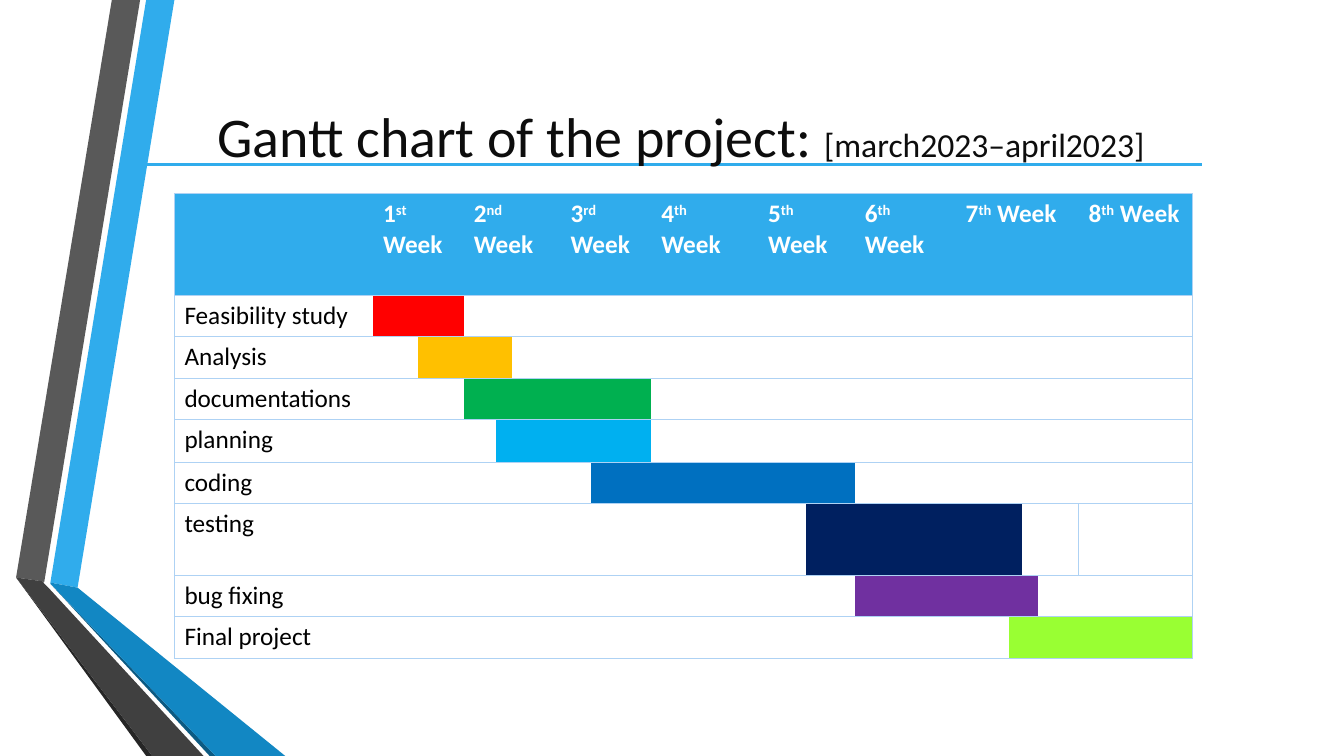
"""Build a project Gantt chart slide with a folded ribbon at the left."""
import pptx
import pptx.dml.color
import pptx.enum.shapes
import pptx.enum.text
import pptx.oxml
import pptx.oxml.ns
import pptx.util
from pptx.dml.color import RGBColor
from pptx.util import Inches

SKY = RGBColor(0x30, 0xAC, 0xEC)
GREY = RGBColor(0x59, 0x59, 0x59)
BLACKISH = RGBColor(0x26, 0x26, 0x26)
NAVY = RGBColor(0x0C, 0x5A, 0x82)
BLUE = RGBColor(0x12, 0x87, 0xC3)
CHARCOAL = RGBColor(0x40, 0x40, 0x40)
GRID = RGBColor(0xAE, 0xD2, 0xF4)
INK = RGBColor(0x0D, 0x0D, 0x0D)
BLACK = RGBColor(0, 0, 0)
WHITE = RGBColor(0xFF, 0xFF, 0xFF)
RED = RGBColor(0xFF, 0, 0)
AMBER = RGBColor(0xFF, 0xC0, 0)
GREEN = RGBColor(0, 0xB0, 0x50)
CYAN = RGBColor(0, 0xB0, 0xF0)
COBALT = RGBColor(0, 0x70, 0xC0)
MIDNIGHT = RGBColor(0, 0x20, 0x60)
PURPLE = RGBColor(0x70, 0x30, 0xA0)
LIME = RGBColor(0x99, 0xFF, 0x33)

RIBBONS = [
    (SKY, [(0.5, 5.78), (0.77, 5.83), (1.73, 0), (1.45, 0)]),
    (GREY, [(1.39, 0), (1.11, 0), (0.16, 5.73), (0.44, 5.77)]),
    (BLACKISH, [(0.16, 5.73), (1.45, 7.5), (1.51, 7.5)]),
    (NAVY, [(0.5, 5.79), (2.08, 7.5), (2.14, 7.5)]),
    (BLUE, [(0.5, 5.79), (2.14, 7.5), (2.83, 7.5), (0.77, 5.83), (0.5, 5.78)]),
    (CHARCOAL, [(2.02, 7.5), (0.48, 5.83), (0.43, 5.78), (0.44, 5.77), (0.16, 5.73), (1.51, 7.5)]),
]
COLUMN_WIDTHS = [1.97, 0.45, 0.45, 0.32, 0.16, 0.16, 0.32, 0.3, 0.3, 0.3, 1.06,
                 0.48, 0.48, 1, 0.53, 0.13, 0.16, 0.16, 0.23, 1.13]
WEEK_SPANS = (1, 2, 4, 3, 1, 2, 1, 5, 1)
ORDINALS = ["st", "nd", "rd", "th", "th", "th", "th", "th"]
HEADER_HEIGHT = 1.01
# label, height, bar colour, first and last bar column, cell spans
TASKS = [
    ("Feasibility study", 0.41, RED, 1, 2, WEEK_SPANS),
    ("Analysis", 0.41, AMBER, 2, 4, (1, 1, 1, 2, 2, 3, 1, 2, 1, 5, 1)),
    ("documentations", 0.41, GREEN, 3, 9, WEEK_SPANS),
    ("planning", 0.43, CYAN, 4, 9, (1, 2, 1, 2, 1, 3, 1, 2, 1, 5, 1)),
    ("coding", 0.41, COBALT, 8, 12, (1, 2, 4, 1, 1, 1, 1, 2, 1, 5, 1)),
    ("testing", 0.71, MIDNIGHT, 12, 15, (1, 2, 4, 3, 1, 1, 1, 1, 2, 2, 1, 1)),
    ("bug fixing", 0.41, PURPLE, 13, 16, (1, 2, 4, 3, 1, 2, 1, 3, 2, 1)),
    ("Final project", 0.41, LIME, 15, 19, (1, 2, 4, 3, 1, 2, 1, 1, 4, 1)),
]


def add_span(para, text, raised=False, **formats):
    """Append one formatted run to a paragraph."""
    span = para.add_run()
    span.text = text
    span.font.color.rgb = formats.pop("color")
    for name, value in {"name": "Calibri", **formats}.items():
        setattr(span.font, name, value)
    if raised:
        span.font._element.set("baseline", "30000")


def set_borders(cell, visible):
    """Draw the visible sides of a cell and blank the others."""
    properties = cell._tc.get_or_add_tcPr()
    for index, side in enumerate("LRTB"):
        paint = f'<a:solidFill><a:srgbClr val="{GRID}"/></a:solidFill>' if side in visible else "<a:noFill/>"
        line = f'<a:ln{side} {pptx.oxml.ns.nsdecls("a")} w="9525">{paint}</a:ln{side}>'
        properties.insert(index, pptx.oxml.parse_xml(line))


deck = pptx.Presentation()
deck.slide_width, deck.slide_height = Inches(13.33), Inches(7.5)
page = deck.slides.add_slide(deck.slide_layouts[6])

for color, corners in RIBBONS:
    points = [(Inches(x), Inches(y)) for x, y in corners]
    builder = page.shapes.build_freeform(*points[0])
    builder.add_line_segments(points[1:], close=True)
    ribbon = builder.convert_to_shape()
    ribbon.shadow.inherit = False
    ribbon.fill.solid()
    ribbon.fill.fore_color.rgb = color
    ribbon.line.fill.background()

rule = page.shapes.add_connector(pptx.enum.shapes.MSO_CONNECTOR.STRAIGHT,
                                 Inches(1.41), Inches(1.63), Inches(11.92), Inches(1.63))
rule.line.color.rgb = SKY
rule.line.width = pptx.util.Pt(2.5)
rule._element.spPr.append(pptx.oxml.parse_xml(f'<a:effectLst {pptx.oxml.ns.nsdecls("a")}/>'))

heights = [HEADER_HEIGHT] + [task[1] for task in TASKS]
frame = page.shapes.add_table(len(heights), len(COLUMN_WIDTHS), Inches(1.73), Inches(1.92),
                              Inches(sum(COLUMN_WIDTHS)), Inches(sum(heights)))
gantt = frame.table
gantt.horz_banding = False
for column, width in zip(gantt.columns, COLUMN_WIDTHS):
    column.width = Inches(width)
for row, height in zip(gantt.rows, heights):
    row.height = Inches(height)

last_column = len(COLUMN_WIDTHS) - 1
header = ("", HEADER_HEIGHT, SKY, 0, last_column, WEEK_SPANS)
for row, (label, height, color, first, last, spans) in enumerate([header] + TASKS):
    for column in range(len(COLUMN_WIDTHS)):
        cell = gantt.cell(row, column)
        if first <= column <= last:
            cell.fill.solid()
            cell.fill.fore_color.rgb = color
        else:
            cell.fill.background()
        sides = "TB" + ("L" if column == 0 else "") + ("R" if column == last_column else "")
        if label == "testing" and column >= last_column - 1:
            sides += "R" if column < last_column else "L"
        set_borders(cell, sides)
    start = 0
    for week, width in enumerate(spans):
        cell = gantt.cell(row, start)
        if width > 1:
            cell.merge(gantt.cell(row, start + width - 1))
        para = cell.text_frame.paragraphs[0]
        para.font.size = pptx.util.Pt(18)
        if row == 0 and week > 0:
            for text, raised in [(str(week), False), (ORDINALS[week - 1], True), (" Week", False)]:
                add_span(para, text, raised, color=WHITE, size=pptx.util.Pt(18), bold=True)
        elif row > 0 and week == 0:
            add_span(para, label, color=BLACK, size=pptx.util.Pt(18), bold=False)
        start += width

title = page.shapes.add_textbox(Inches(1.36), Inches(0.77), Inches(10.79), Inches(1.15))
title.text_frame.word_wrap = True
title.text_frame.vertical_anchor = pptx.enum.text.MSO_ANCHOR.MIDDLE
para = title.text_frame.paragraphs[0]
para.alignment = pptx.enum.text.PP_ALIGN.CENTER
for text, size in [("Gantt chart of the project: ", 40), ("[march2023–april2023]", 24)]:
    add_span(para, text, color=INK, size=pptx.util.Pt(size))

deck.save("out.pptx")
